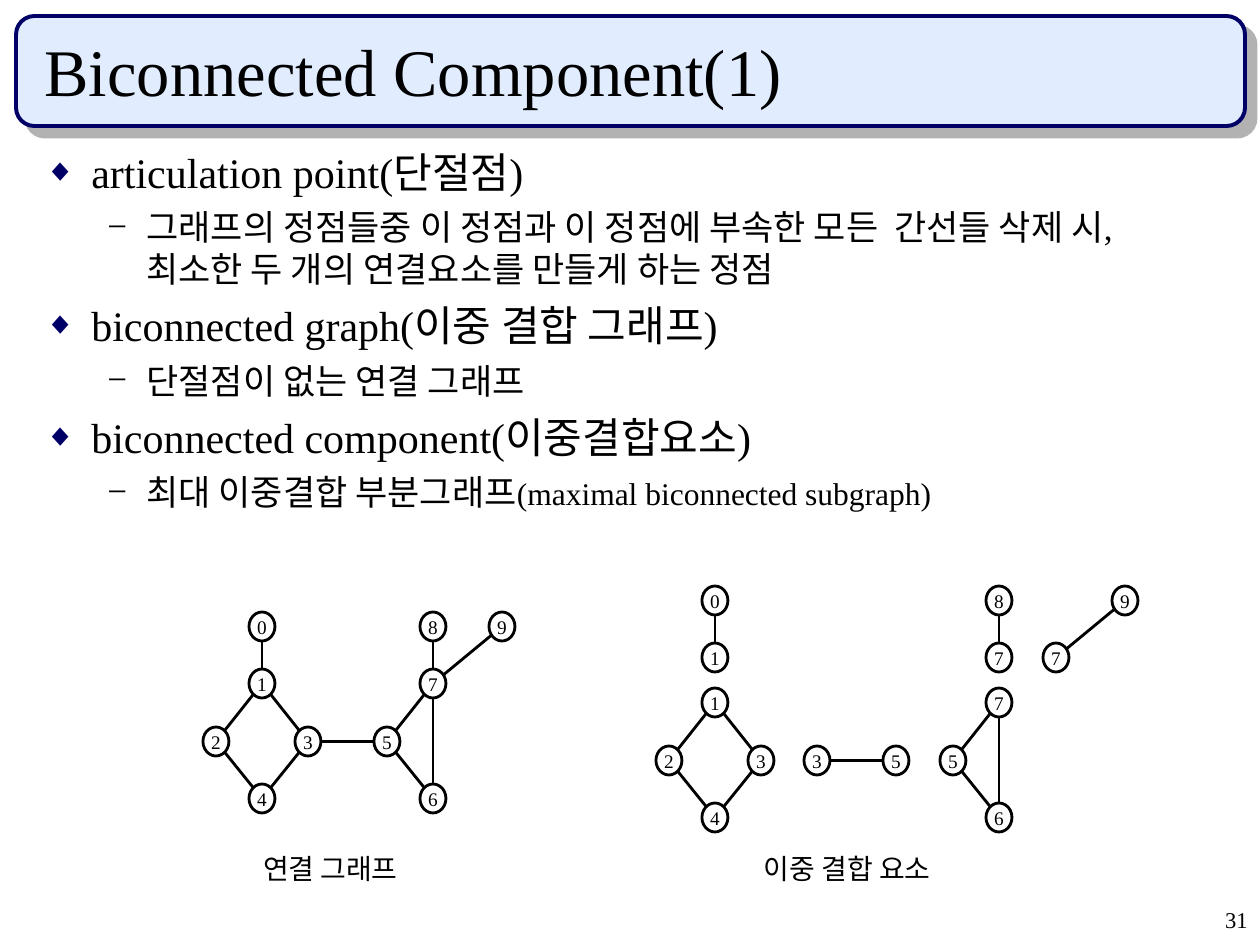
from dataclasses import dataclass
from math import hypot

from lxml import etree
from pptx import Presentation
from pptx import util as u
from pptx.dml.color import RGBColor
from pptx.enum import shapes, text
from pptx.oxml import ns

PX = 914400 / 126  # EMU in one px


@dataclass(frozen=True)
class Theme:
    font: str = "Times New Roman"
    ink: str = "000000"
    paper: str = "FFFFFF"
    navy: str = "000066"
    bar: str = "E1ECFF"
    shadow: str = "B2B2B2"
    title: float = 38
    term: float = 24
    meaning: float = 20
    gloss: float = 18
    caption: float = 16
    page: float = 12.9
    vertex: float = 11
    bar_line: float = 2.25
    graph_line: float = 1.62


THEME = Theme()

# Each term, its meaning, and a smaller gloss
DEFINITIONS = [
    ("articulation point(단절점)",
     "그래프의 정점들중 이 정점과 이 정점에 부속한 모든  간선들 삭제 시, "
     "최소한 두 개의 연결요소를 만들게 하는 정점", ""),
    ("biconnected graph(이중 결합 그래프)", "단절점이 없는 연결 그래프", ""),
    ("biconnected component(이중결합요소)", "최대 이중결합 부분그래프",
     "(maximal biconnected subgraph)"),
]

# Vertex corners in px from the corner of the graph's box
VERTEX_W, VERTEX_H = 26, 29
ROWS = [0, 57, 115, 172]
VERTICES = {
    0: (46, ROWS[0]), 8: (217, ROWS[0]), 9: (286, ROWS[0]),
    1: (46, ROWS[1]), 7: (217, ROWS[1]),
    2: (0, ROWS[2]), 3: (92, ROWS[2]), 5: (171, ROWS[2]),
    4: (46, ROWS[3]), 6: (217, ROWS[3]),
}

# Edges of each biconnected component, and its shift when drawn apart
COMPONENTS = [
    ([(0, 1)], (0, 0)),
    ([(1, 2), (1, 3), (2, 4), (3, 4)], (0, 45)),
    ([(3, 5)], (56, 45)),
    ([(7, 5), (7, 6), (5, 6)], (113, 45)),
    ([(8, 7)], (113, 0)),
    ([(9, 7)], (170, 0)),
]


def emu(*lengths):
    return [u.Emu(round(length * PX)) for length in lengths]


def rgb(colour):
    return RGBColor.from_string(colour)


def style(paragraph, size):
    paragraph.font.name = THEME.font
    paragraph.font.size = u.Pt(size)
    paragraph.font.color.rgb = rgb(THEME.ink)


def paint(shape, fill, line, width):
    shape.shadow.inherit = False
    shape.fill.solid()
    shape.fill.fore_color.rgb = rgb(fill)
    shape.line.color.rgb = rgb(line)
    shape.line.width = u.Pt(width)


def no_margins(frame):
    frame.margin_left = frame.margin_right = 0
    frame.margin_top = frame.margin_bottom = 0
    frame.word_wrap = False


def child(parent, tag, **attributes):
    return etree.SubElement(parent, ns.qn(tag), attributes)


def title_bar(slide, x, y, w, h):
    bar = slide.shapes.add_shape(
        shapes.MSO_SHAPE.ROUNDED_RECTANGLE, *emu(x, y, w, h))
    paint(bar, THEME.bar, THEME.navy, THEME.bar_line)
    effects = bar._element.spPr.find(ns.qn("a:effectLst"))
    shadow = child(effects, "a:outerShdw", blurRad="0",
                   dist=str(u.Pt(8.5)), dir="2700000", algn="ctr", rotWithShape="0")
    child(shadow, "a:srgbClr", val=THEME.shadow)

    # Title placeholder, in front of the bar
    title = slide.shapes.title
    title.left, title.top, title.width, title.height = emu(x + 16, y + 16, w - 42, h - 26)
    bar._element.getparent().insert(2, bar._element)
    frame = title.text_frame
    frame.text = "Biconnected Component(1)"
    frame.auto_size = text.MSO_AUTO_SIZE.NONE
    frame.vertical_anchor = text.MSO_ANCHOR.BOTTOM
    frame.paragraphs[0].alignment = text.PP_ALIGN.LEFT
    style(frame.paragraphs[0], THEME.title)


def bullet(paragraph, mark, colour, percent, left, hanging):
    pPr = paragraph._p.get_or_add_pPr()
    pPr.set("marL", str(emu(left)[0]))
    pPr.set("indent", str(emu(-hanging)[0]))
    child(child(pPr, "a:buClr"), "a:srgbClr", val=colour)
    child(pPr, "a:buSzPct", val=str(percent * 1000))
    child(pPr, "a:buFont", typeface=THEME.font)
    child(pPr, "a:buChar", char=mark)


def definitions(slide, x, y, w, h):
    frame = slide.shapes.add_textbox(*emu(x, y, w, h)).text_frame
    frame.word_wrap = True
    for number, (term, meaning, gloss) in enumerate(DEFINITIONS):
        heading = frame.add_paragraph() if number else frame.paragraphs[0]
        heading.text = term
        heading.space_before = u.Pt(6)
        bullet(heading, "◆", THEME.navy, 75, 47, 47)
        style(heading, THEME.term)

        detail = frame.add_paragraph()
        detail.text = meaning
        detail.level = 1
        detail.space_before = u.Pt(5)
        bullet(detail, "−", THEME.ink, 100, 102, 39)
        style(detail, THEME.meaning)
        if gloss:
            run = detail.add_run()
            run.text = gloss
            run.font.size = u.Pt(THEME.gloss)


def draw_edge(slide, start, end):
    # Trim both ends to the outline of the vertices
    dx, dy = end[0] - start[0], end[1] - start[1]
    trim = 1 / hypot(dx / (VERTEX_W / 2), dy / (VERTEX_H / 2))
    edge = slide.shapes.add_connector(
        shapes.MSO_CONNECTOR.STRAIGHT,
        *emu(start[0] + dx * trim, start[1] + dy * trim,
             end[0] - dx * trim, end[1] - dy * trim))
    edge.line.color.rgb = rgb(THEME.ink)
    edge.line.width = u.Pt(THEME.graph_line)
    child(edge._element.spPr, "a:effectLst")


def draw_vertex(slide, label, x, y):
    vertex = slide.shapes.add_shape(
        shapes.MSO_SHAPE.OVAL, *emu(x, y, VERTEX_W, VERTEX_H))
    paint(vertex, THEME.paper, THEME.ink, THEME.graph_line)
    frame = vertex.text_frame
    no_margins(frame)
    frame.text = str(label)
    frame.vertical_anchor = text.MSO_ANCHOR.MIDDLE
    frame.paragraphs[0].alignment = text.PP_ALIGN.CENTER
    style(frame.paragraphs[0], THEME.vertex)


def draw_graph(slide, edges, x, y):
    corners = {v: (x + VERTICES[v][0], y + VERTICES[v][1])
               for edge in edges for v in edge}
    centres = {v: (cx + VERTEX_W / 2, cy + VERTEX_H / 2)
               for v, (cx, cy) in corners.items()}
    for start, end in edges:
        draw_edge(slide, centres[start], centres[end])
    for label, corner in corners.items():
        draw_vertex(slide, label, *corner)


def caption(slide, words, x, y, w, h):
    frame = slide.shapes.add_textbox(*emu(x, y, w, h)).text_frame
    no_margins(frame)
    frame.text = words
    style(frame.paragraphs[0], THEME.caption)


def connected_graph(slide, x, y):
    draw_graph(slide, [e for edges, _ in COMPONENTS for e in edges], x, y)
    caption(slide, "연결 그래프", x + 60, y + 240, 142, 34)


def separate_components(slide, x, y):
    for edges, (dx, dy) in COMPONENTS:
        draw_graph(slide, edges, x + dx, y + dy)
    caption(slide, "이중 결합 요소", x + 108, y + 266, 170, 34)


def page_number(slide, x, y, w, h):
    frame = slide.shapes.add_textbox(*emu(x, y, w, h)).text_frame
    frame.word_wrap = True
    frame.text = "31"
    number = frame.paragraphs[0]
    number.alignment = text.PP_ALIGN.RIGHT
    number.line_spacing = 0.9
    number.space_before = u.Pt(8.8)
    style(number, THEME.page)


def main():
    deck = Presentation()
    deck.slide_width, deck.slide_height = emu(1260, 945)
    slide = deck.slides.add_slide(deck.slide_layouts.get_by_name("Title Only"))
    title_bar(slide, 16, 16, 1229, 110)
    definitions(slide, 32, 140, 1187, 735)
    connected_graph(slide, 203, 612)
    separate_components(slide, 656, 586)
    page_number(slide, 998, 903, 262, 42)
    deck.save("out.pptx")


if __name__ == "__main__":
    main()
